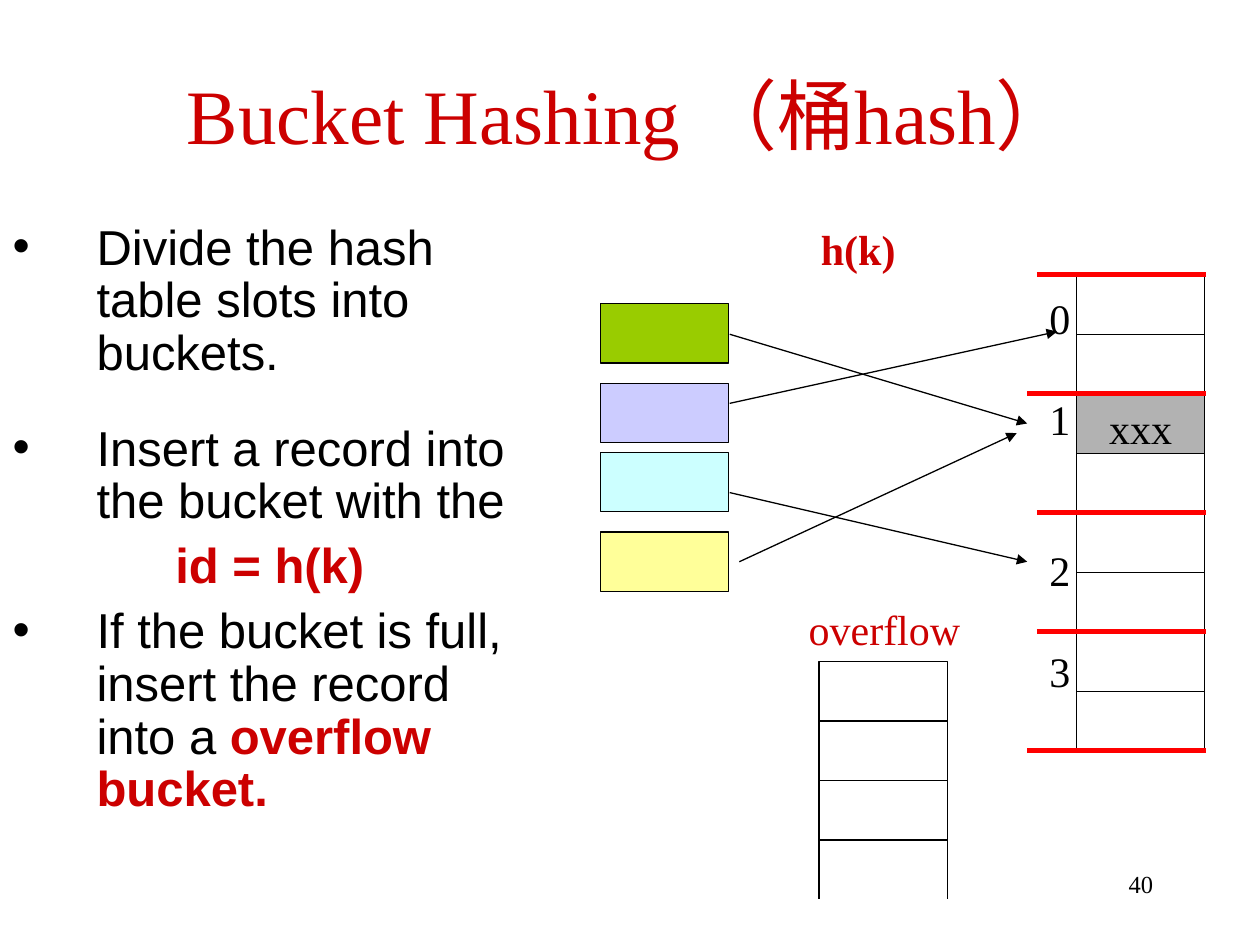
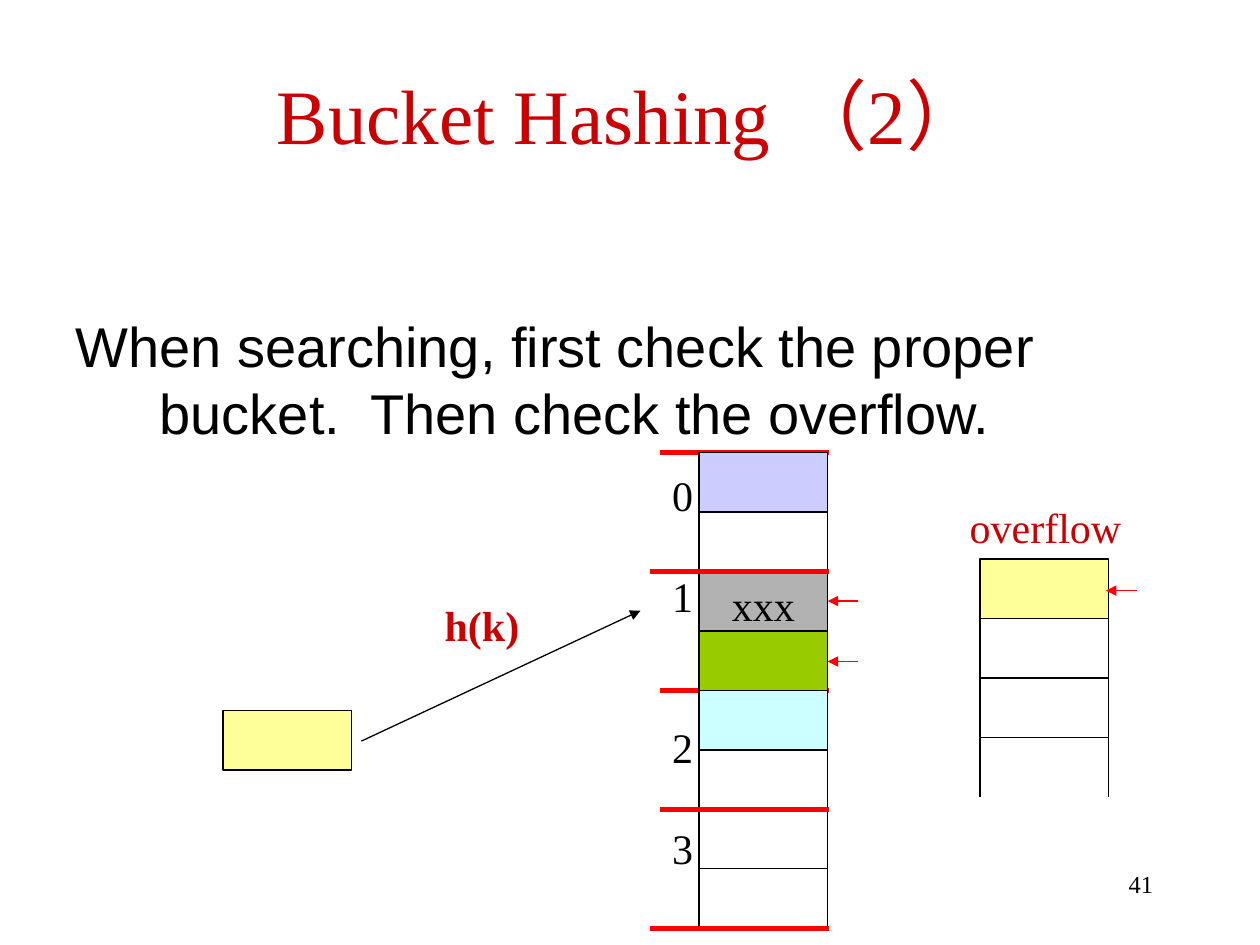
from dataclasses import dataclass

from lxml.etree import SubElement
from pptx import Presentation
from pptx.dml.color import RGBColor as RGB
from pptx.enum.shapes import MSO_CONNECTOR as CONN, MSO_SHAPE as SHAPE
from pptx.enum.text import MSO_ANCHOR as ANCHOR, MSO_AUTO_SIZE as AUTO, PP_ALIGN as ALIGN
from pptx.oxml.ns import qn
from pptx.util import Pt


@dataclass(frozen=True)
class Theme:
    serif: str = "Times New Roman"
    sans: str = "Arial"
    ink: str = "000000"
    accent: str = "CC0000"
    rule: str = "FF0000"
    gray: str = "B2B2B2"
    green: str = "99CC00"
    violet: str = "CCCCFF"
    cyan: str = "CCFFFF"
    yellow: str = "FFFF99"
    title: int = 44
    bullets: int = 28
    sentence: int = 32
    label: int = 24
    number: int = 14
    thin: float = 0.75
    thick: float = 3
    leading: float = 1.2
    cell_w: float = 73.5
    cell_h: float = 34


class Deck:
    def __init__(self, theme):
        self.t = theme
        self.prs = Presentation()
        self.prs.slide_width, self.prs.slide_height = Pt(720), Pt(540)

    def font(self, font, size, color=None, name=None, bold=False):
        font.size, font.name, font.bold = Pt(size), name or self.t.serif, bold
        font.color.rgb = RGB.from_string(color or self.t.ink)

    def place(self, sp, x, y, w, h):
        sp.left, sp.top, sp.width, sp.height = Pt(x), Pt(y), Pt(w), Pt(h)

    def slide(self, title, number):
        self.s = self.prs.slides.add_slide(self.prs.slide_layouts[1])
        sp = self.s.shapes.title
        self.place(sp, 36, 29, 648, 72)
        tf = sp.text_frame
        tf.text, tf.vertical_anchor, tf.auto_size = title, ANCHOR.MIDDLE, AUTO.NONE
        p = tf.paragraphs[0]
        p.alignment = ALIGN.CENTER
        self.font(p.font, self.t.title, self.t.accent)
        self.text(str(number), 516, 493, 150, 36, self.t.number, align=ALIGN.RIGHT)

    def body(self, box, size, leading, items):
        sp = self.s.placeholders[1]
        self.place(sp, *box)
        tf = sp.text_frame
        tf.auto_size = AUTO.NONE
        for i, (runs, bullet, left, hang, before) in enumerate(items):
            p = tf.add_paragraph() if i else tf.paragraphs[0]
            pr = p._p.get_or_add_pPr()
            pr.set("marL", str(Pt(left)))
            pr.set("indent", str(Pt(-hang)))
            if bullet:
                SubElement(pr, qn("a:buChar")).set("char", "•")
            else:
                SubElement(pr, qn("a:buNone"))
            p.line_spacing, p.space_before = Pt(leading), Pt(before)
            for text, strong in runs:
                r = p.add_run()
                r.text = text
                color = self.t.accent if strong else self.t.ink
                self.font(r.font, size, color, self.t.sans, strong)

    def text(self, lines, x, y, w, h, size=None, color=None, bold=False,
             align=ALIGN.LEFT, gaps=()):
        size = size or self.t.label
        tf = self.s.shapes.add_textbox(Pt(x), Pt(y), Pt(w), Pt(h)).text_frame
        tf.text, tf.word_wrap = lines, align == ALIGN.RIGHT
        leading = size * self.t.leading
        for p in tf.paragraphs:
            p.alignment, p.line_spacing = align, Pt(leading)
            self.font(p.font, size, color, bold=bold)
        for p, gap in zip(tf.paragraphs, gaps):
            p.space_before = Pt(gap * leading)

    def cell(self, x, y, fill=None, text=""):
        sp = self.s.shapes.add_shape(
            SHAPE.RECTANGLE, Pt(x), Pt(y), Pt(self.t.cell_w), Pt(self.t.cell_h))
        sp.shadow.inherit = False
        if fill:
            sp.fill.solid()
            sp.fill.fore_color.rgb = RGB.from_string(fill)
        else:
            sp.fill.background()
        sp.line.color.rgb, sp.line.width = RGB.from_string(self.t.ink), Pt(self.t.thin)
        if text:
            tf = sp.text_frame
            tf.text, tf.word_wrap, tf.vertical_anchor = text, False, ANCHOR.MIDDLE
            tf.margin_top = Pt(8)
            p = tf.paragraphs[0]
            p.alignment = ALIGN.CENTER
            self.font(p.font, self.t.label)

    def line(self, x1, y1, x2, y2, color=None, width=None, arrow=False):
        c = self.s.shapes.add_connector(CONN.STRAIGHT, Pt(x1), Pt(y1), Pt(x2), Pt(y2))
        c.line.color.rgb = RGB.from_string(color or self.t.ink)
        c.line.width = Pt(width or self.t.thin)
        if arrow:
            SubElement(c.line._get_or_add_ln(), qn("a:tailEnd")).set("type", "triangle")
        SubElement(c._element.spPr, qn("a:effectLst"))

    def arrow(self, x1, y1, x2, y2, color=None):
        self.line(x1, y1, x2, y2, color, arrow=True)

    def hash_table(self, x, y, records=()):
        t = self.t
        records = dict(records)
        for row in range(8):
            if row == 2:
                self.cell(x, y + row * t.cell_h, t.gray, "xxx")
            elif row not in records:
                self.cell(x, y + row * t.cell_h)
        for bucket, overhang in enumerate((22.5, 28, 22.5, 22.5, 28)):
            edge = y + bucket * 2 * t.cell_h
            self.line(x - overhang, edge, x + t.cell_w + 0.5, edge, t.rule, t.thick)
        self.text("0\n1\n2\n3", x - 22.5, y + 6.5, 26, 237.5, gaps=(0, 1, 2, 1))
        for row, fill in records.items():
            self.cell(x, y + row * t.cell_h, fill)

    def overflow(self, x, y, first=None):
        t = self.t
        for row in range(3):
            self.cell(x, y + row * t.cell_h, None if row else first)
        for side in (x, x + t.cell_w):
            self.line(side, y + 3 * t.cell_h, side, y + 4 * t.cell_h)
        self.text("overflow", x - 13, y - 36.5, 101, 36, color=t.accent)

    def hash_label(self, x, y):
        self.text("h(k)", x, y, 57, 36, color=self.t.accent, bold=True)


def inserting(d):
    t = d.t
    d.slide("Bucket Hashing （桶hash）", 40)
    d.body((0, 123.5, 312.5, 365), t.bullets, 30.1, [
        ([("Divide the hash table slots into buckets.", False)], True, 48, 48, 0),
        ([("Insert a record into the bucket with the", False)], True, 48, 48, 24.5),
        ([("id = h(k)", True)], False, 93, 0, 7),
        ([("If the bucket is full, insert the record into a ", False),
          ("overflow bucket.", True)], True, 48, 48, 7),
    ])
    d.hash_table(615, 157)
    d.overflow(468, 378)
    d.hash_label(462, 124)
    for y, fill in ((173.5, t.green), (219, t.violet), (258.5, t.cyan), (304, t.yellow)):
        d.cell(343, y, fill)
    for ends in ((417, 191, 587, 242), (417, 230.5, 604, 189.5),
                 (417, 281.5, 587, 321), (422.5, 321, 581, 247.5)):
        d.arrow(*ends)


def searching(d):
    t = d.t
    d.slide("Bucket Hashing （2）", 41)
    sentence = "When searching, first check the proper bucket.  Then check the overflow."
    d.body((36, 174, 590, 120), t.sentence, 38.6,
           [([(sentence, False)], False, 48, 48, 0)])
    d.hash_table(399.5, 258.5, {0: t.violet, 3: t.green, 4: t.cyan})
    d.overflow(560, 319.5, t.yellow)
    d.hash_label(247, 339)
    d.cell(127.5, 406, t.yellow)
    d.arrow(206.5, 423.5, 366, 349)
    for tip, y in ((473, 343.5), (473, 378), (632, 337.5)):
        d.arrow(tip + 17.5, y, tip, y, t.rule)


def main():
    d = Deck(Theme())
    inserting(d)
    searching(d)
    d.prs.save("out.pptx")


if __name__ == "__main__":
    main()
